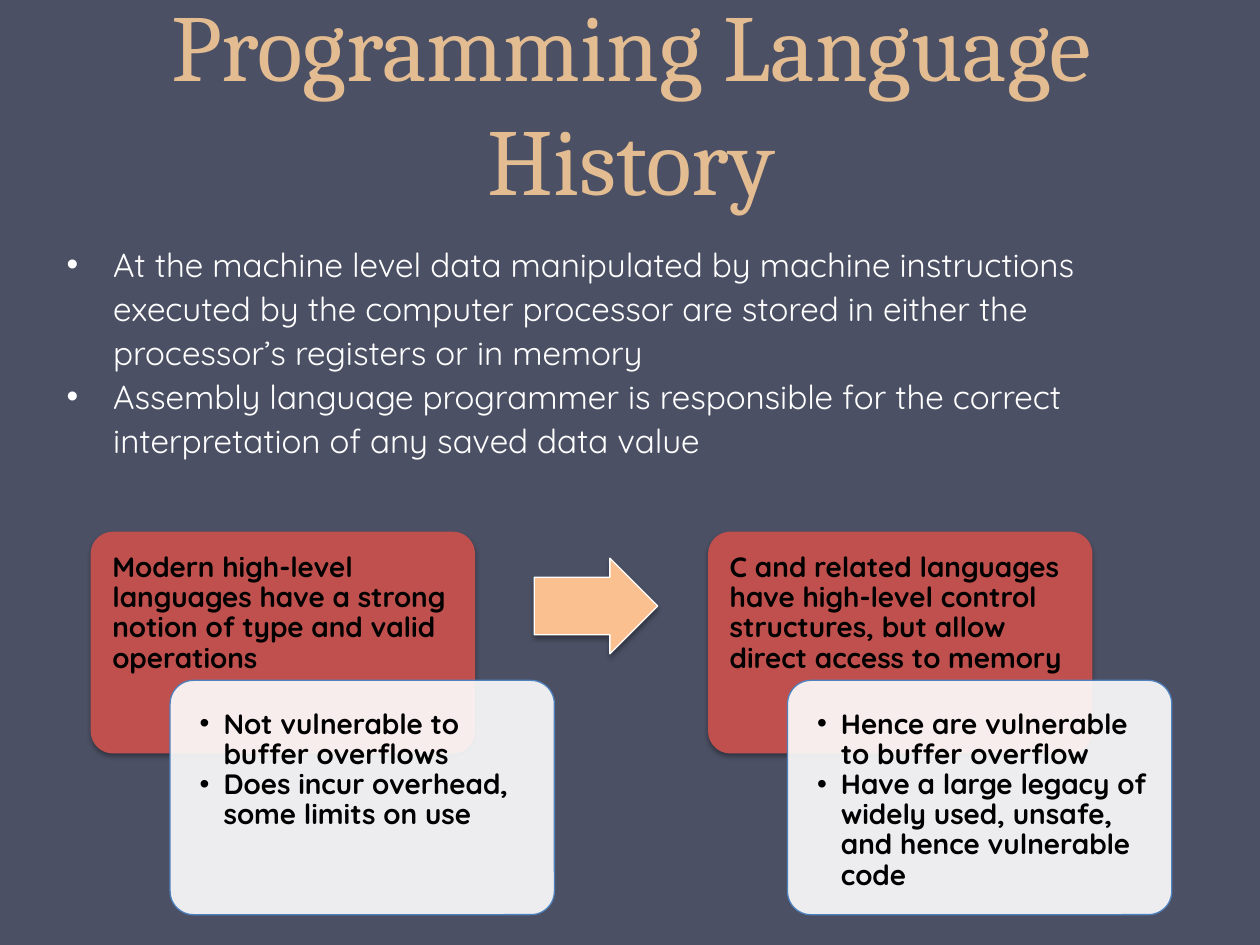
from dataclasses import dataclass

from lxml import etree
from pptx import Presentation
from pptx.dml.color import RGBColor
from pptx.enum.shapes import MSO_SHAPE
from pptx.enum.text import MSO_ANCHOR, PP_ALIGN
from pptx.oxml.ns import qn
from pptx.util import Inches, Pt

ROUNDED = MSO_SHAPE.ROUNDED_RECTANGLE
ARROW = MSO_SHAPE.RIGHT_ARROW
TOP, BOTTOM = MSO_ANCHOR.TOP, MSO_ANCHOR.BOTTOM
LEFT, CENTER = PP_ALIGN.LEFT, PP_ALIGN.CENTER


@dataclass(frozen=True)
class Theme:
    background: str = "4B5064"
    title: str = "E3BC92"
    light: str = "FFFFFF"
    dark: str = "000000"
    claim: str = "C0504D"
    outline: str = "4F81BD"
    arrow: str = "FAC090"
    title_font: str = "Cambria"
    body_font: str = "Quicksand"
    title_size: int = 54
    body_size: int = 19
    card_size: int = 16


THEME = Theme()
INTRO = [
    "At the machine level data manipulated by machine instructions executed by "
    "the computer processor are stored in either the processor’s registers or in memory",
    "Assembly language programmer is responsible for the correct interpretation "
    "of any saved data value",
]
STAGES = [
    ("Modern high-level languages have a strong notion of type and valid operations",
     ["Not vulnerable to buffer overflows",
      "Does incur overhead, some limits on use"]),
    ("C and related languages have high-level control structures, but allow direct "
     "access to memory",
     ["Hence are vulnerable to buffer overflow",
      "Have a large legacy of widely used, unsafe, and hence vulnerable code"]),
]


def color(value):
    return RGBColor.from_string(value)


def add_element(parent, tag, **attributes):
    return etree.SubElement(parent, qn(tag), attributes)


def add_bullet(para, indent, hanging, value):
    properties = para._p.get_or_add_pPr()
    properties.set("marL", str(Inches(indent)))
    properties.set("indent", str(-Inches(hanging)))
    add_element(add_element(properties, "a:buClr"), "a:srgbClr", val=value)
    add_element(properties, "a:buFont", typeface="Arial")
    add_element(properties, "a:buChar", char="•")


def write(frame, texts, font, size, value, bold=False, align=LEFT, anchor=TOP,
          spacing=1.0, insets=(0.1, 0.05, 0.1, 0.05), bullet=None):
    """Fill a text frame; bullet is (indent, hanging) in inches."""
    frame.word_wrap = True
    frame.vertical_anchor = anchor
    (frame.margin_left, frame.margin_top,
     frame.margin_right, frame.margin_bottom) = map(Inches, insets)
    for index, text in enumerate(texts):
        para = frame.add_paragraph() if index else frame.paragraphs[0]
        para.alignment = align
        para.line_spacing = spacing
        if bullet:
            add_bullet(para, *bullet, value)
        span = para.add_run()
        span.text = text
        span.font.name = font
        span.font.size = Pt(size)
        span.font.bold = bold
        span.font.color.rgb = color(value)


def add_panel(page, kind, box, fill, line=None, opacity=100, adjustments=(0.1,),
              shadow=False):
    panel = page.shapes.add_shape(kind, *map(Inches, box))
    for index, value in enumerate(adjustments):
        panel.adjustments[index] = value
    panel.fill.solid()
    panel.fill.fore_color.rgb = color(fill)
    if opacity < 100:
        solid = panel._element.spPr.find(qn("a:solidFill"))
        add_element(solid[0], "a:alpha", val=str(opacity * 1000))
    if line:
        panel.line.color.rgb = color(line)
        panel.line.width = Pt(0.75)
    else:
        panel.line.fill.background()
    panel.shadow.inherit = False
    if shadow:
        effects = panel._element.spPr.find(qn("a:effectLst"))
        outer = add_element(effects, "a:outerShdw", blurRad=str(Pt(3.1)),
                            dist=str(Pt(1.8)), dir="5400000", rotWithShape="0")
        tint = add_element(outer, "a:srgbClr", val=THEME.dark)
        add_element(tint, "a:alpha", val="35000")
    return panel


def add_title(page, box):
    frame = page.shapes.add_textbox(*map(Inches, box)).text_frame
    write(frame, ["Programming Language History"], THEME.title_font,
          THEME.title_size, THEME.title, align=CENTER, anchor=BOTTOM)


def add_intro(page, box):
    frame = page.shapes.add_textbox(*map(Inches, box)).text_frame
    write(frame, INTRO, THEME.body_font, THEME.body_size, THEME.light,
          spacing=1.1, bullet=(0.38, 0.37))


def add_stage(page, box, claim, details):
    """A claim card with a detail card overlapping its lower right."""
    left, top, width, height = box
    card_width = width - 0.63
    card = add_panel(page, ROUNDED, (left, top, card_width, 1.76), THEME.claim,
                     shadow=True)
    write(card.text_frame, [claim], THEME.body_font, THEME.card_size, THEME.dark,
          bold=True, spacing=0.9, insets=(0.12, 0.12, 0.12, 0.65))
    detail_box = (left + 0.63, top + 1.18, card_width, height - 1.18)
    card = add_panel(page, ROUNDED, detail_box, THEME.light, THEME.outline, opacity=90)
    write(card.text_frame, details, THEME.body_font, THEME.card_size, THEME.dark,
          bold=True, spacing=0.9, insets=(0.18, 0.18, 0.12, 0.18),
          bullet=(0.19, 0.19))


def add_process(page, box):
    """Stages spread evenly across the box, with an arrow towards each next one."""
    left, top, width, height = box
    stage_width = 3.68
    step = (width - stage_width) / (len(STAGES) - 1)
    for index, (claim, details) in enumerate(STAGES):
        x = left + index * step
        if index:
            add_panel(page, ARROW, (x - 1.38, top + 0.21, 0.98, 0.76), THEME.arrow,
                      THEME.light, adjustments=(0.6, 0.5), shadow=True)
        add_stage(page, (x, top, stage_width, height), claim, details)


def main():
    deck = Presentation()
    deck.slide_width, deck.slide_height = Inches(10), Inches(7.5)
    page = deck.slides.add_slide(deck.slide_layouts[6])
    page.background.fill.solid()
    page.background.fill.fore_color.rgb = color(THEME.background)
    add_title(page, (0.51, 0.22, 9, 1.53))
    add_intro(page, (0.42, 1.86, 9.08, 2.06))
    add_process(page, (0.72, 4.22, 8.58, 3.04))
    deck.save("out.pptx")


if __name__ == "__main__":
    main()
